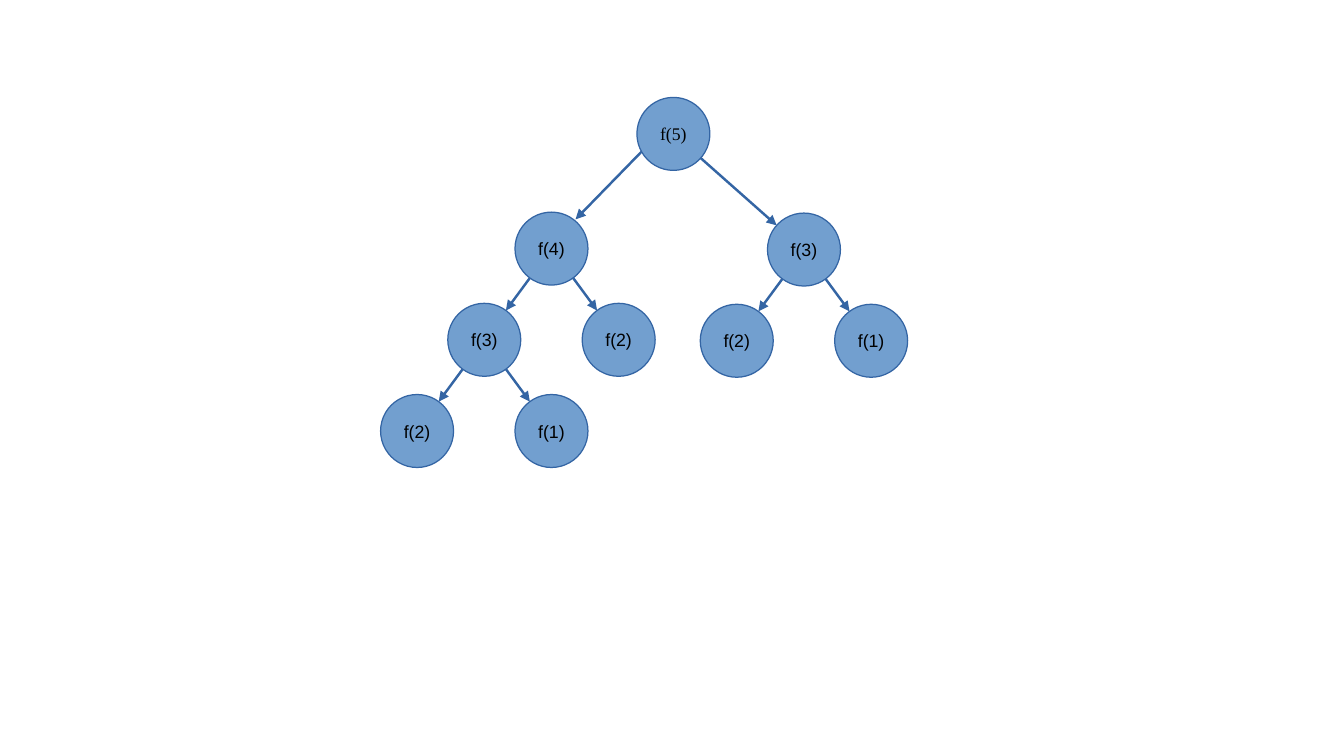
from dataclasses import dataclass
from math import hypot

from lxml import etree
from pptx import Presentation
from pptx.dml.color import RGBColor
from pptx.enum.shapes import MSO_CONNECTOR, MSO_SHAPE
from pptx.enum.text import MSO_ANCHOR, PP_ALIGN
from pptx.oxml.ns import qn
from pptx.util import Cm, Pt

STRAIGHT = MSO_CONNECTOR.STRAIGHT
ELLIPSE = MSO_SHAPE.OVAL
MIDDLE = MSO_ANCHOR.MIDDLE
CENTER = PP_ALIGN.CENTER

DIAMETER = 1.52
BRANCH_X = 1.4
BRANCH_Y = 1.9


@dataclass(frozen=True)
class Theme:
    fill: RGBColor = RGBColor(0x72, 0x9F, 0xCF)
    line: RGBColor = RGBColor(0x34, 0x65, 0xA4)
    text: RGBColor = RGBColor(0, 0, 0)
    root_font: str = "Times New Roman"
    call_font: str = "Arial"
    text_size: Pt = Pt(10.5)
    arrow_width: Pt = Pt(1.45)
    outline_width: Pt = Pt(0)


@dataclass(frozen=True)
class Call:
    label: str
    x: float
    y: float

    def branch(self, left_label, right_label):
        y = self.y + BRANCH_Y
        return (Call(left_label, self.x - BRANCH_X, y),
                Call(right_label, self.x + BRANCH_X, y))


THEME = Theme()


def add_arrow(slide, start, tip):
    arrow = slide.shapes.add_connector(
        STRAIGHT, *(Cm(value) for value in (*start, *tip)))
    arrow.line.color.rgb = THEME.line
    arrow.line.width = THEME.arrow_width
    line = arrow.line._get_or_add_ln()
    etree.SubElement(line, qn("a:tailEnd"), type="triangle")
    etree.SubElement(arrow._element.spPr, qn("a:effectLst"))


def add_call_arrow(slide, caller, callee):
    dx, dy = callee.x - caller.x, callee.y - caller.y
    inset = DIAMETER / 2 / hypot(dx, dy)
    tip = callee.x - dx * inset, callee.y - dy * inset
    add_arrow(slide, (caller.x, caller.y), tip)


def add_call(slide, call, font_name):
    circle = slide.shapes.add_shape(
        ELLIPSE, Cm(call.x - DIAMETER / 2), Cm(call.y - DIAMETER / 2),
        Cm(DIAMETER), Cm(DIAMETER))
    circle.shadow.inherit = False
    circle.fill.solid()
    circle.fill.fore_color.rgb = THEME.fill
    circle.line.color.rgb = THEME.line
    circle.line.width = THEME.outline_width
    frame = circle.text_frame
    frame.word_wrap = False
    frame.vertical_anchor = MIDDLE
    label = frame.paragraphs[0]
    label.text = call.label
    label.alignment = CENTER
    label.font.name = font_name
    label.font.size = THEME.text_size
    label.font.color.rgb = THEME.text


def main():
    deck = Presentation()
    deck.slide_width, deck.slide_height = Cm(28), Cm(15.75)
    slide = deck.slides.add_slide(deck.slide_layouts[6])

    root = Call("f(5)", 14.03, 2.79)
    left = Call("f(4)", 11.49, 5.18)
    right = Call("f(3)", 16.75, 5.2)
    left_calls = left.branch("f(3)", "f(2)")
    right_calls = right.branch("f(2)", "f(1)")
    inner = left_calls[0]
    inner_calls = inner.branch("f(2)", "f(1)")

    add_arrow(slide, (13.97, 2.54), (11.99, 4.57))
    for caller, callees in ((root, (right,)), (left, left_calls),
                            (right, right_calls), (inner, inner_calls)):
        for callee in callees:
            add_call_arrow(slide, caller, callee)

    add_call(slide, root, THEME.root_font)
    for call in (left, right, *left_calls, *right_calls, *inner_calls):
        add_call(slide, call, THEME.call_font)

    deck.save("out.pptx")


if __name__ == "__main__":
    main()
